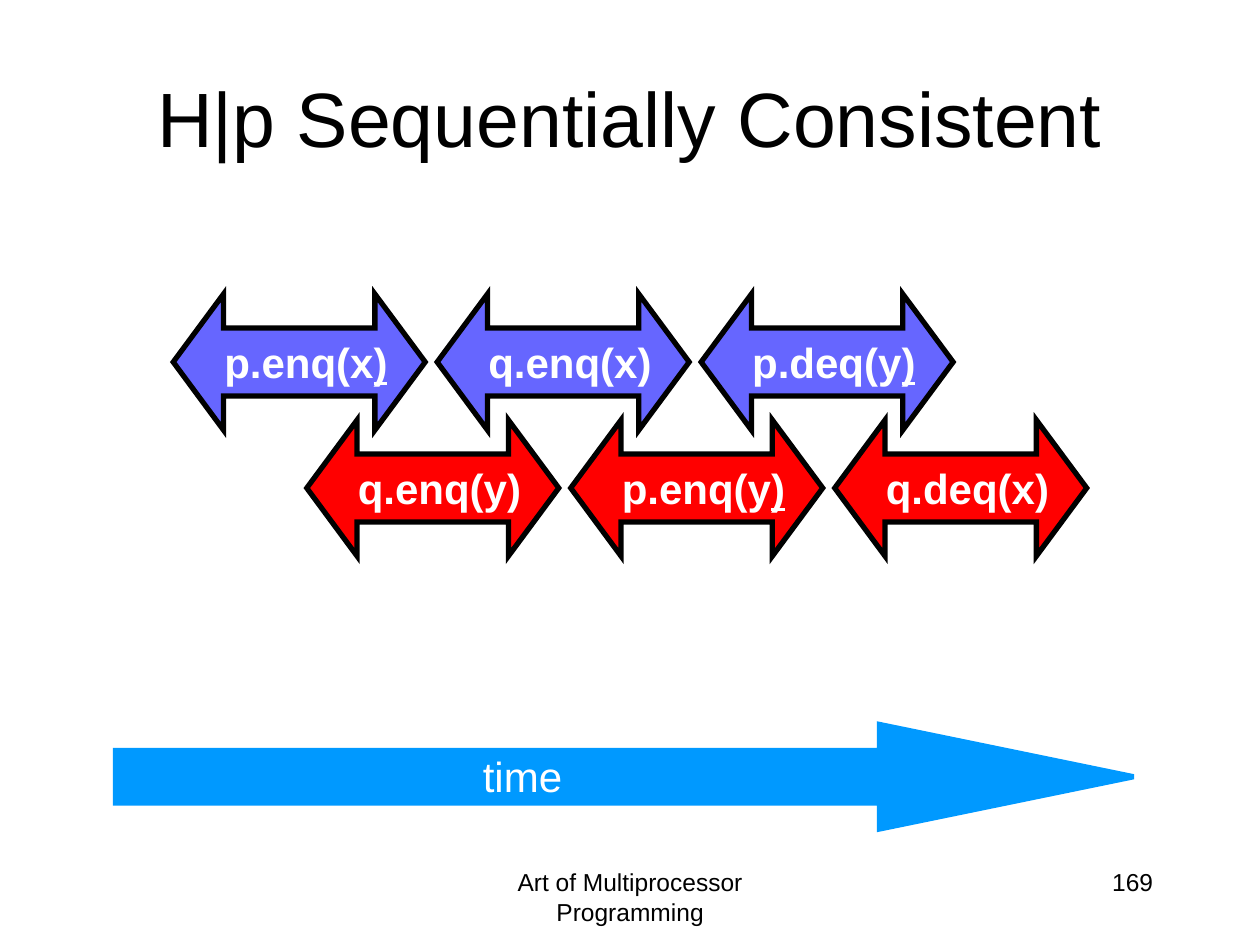
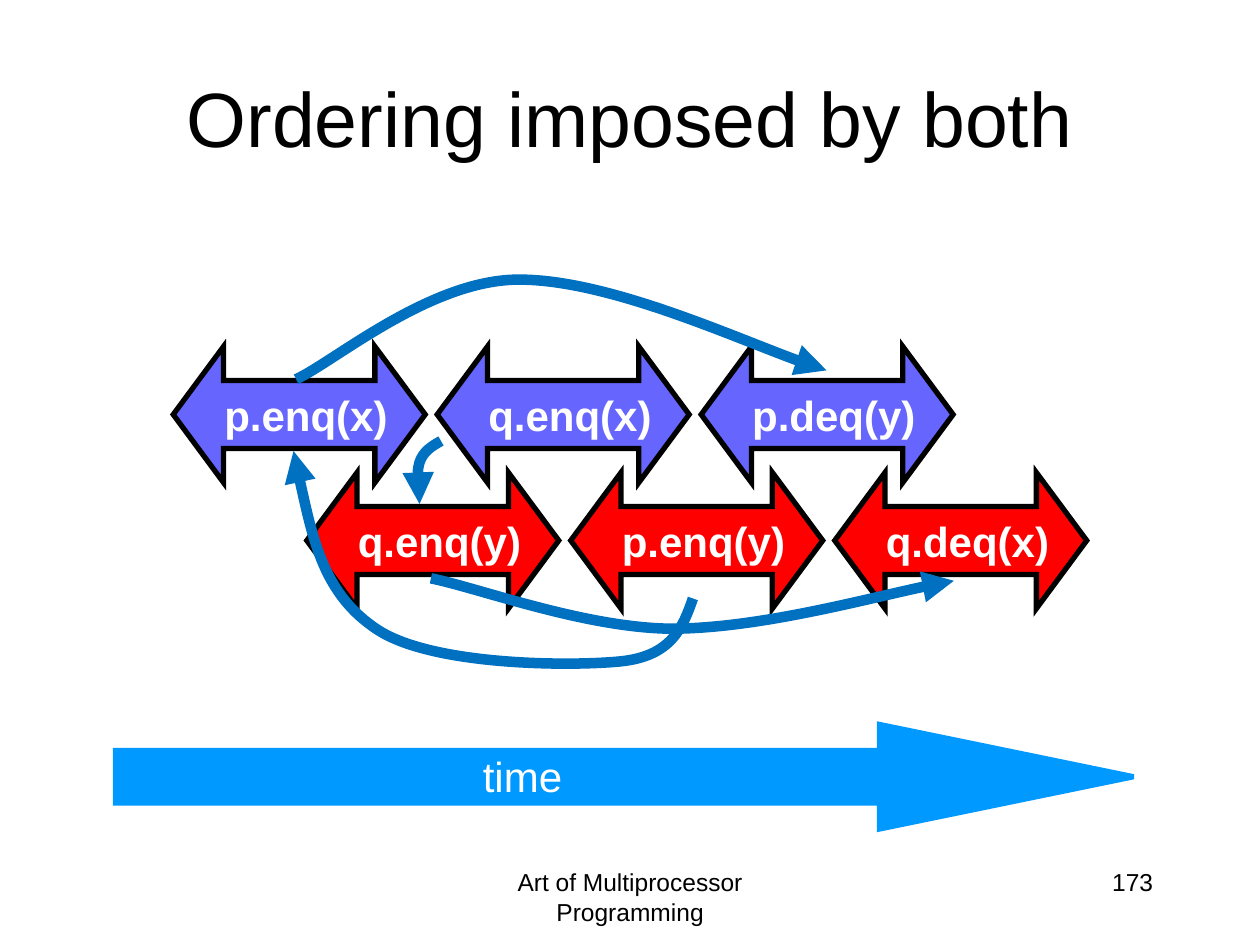
from dataclasses import dataclass

from lxml.etree import SubElement
from pptx import Presentation
from pptx.dml.color import RGBColor
from pptx.enum.shapes import MSO_SHAPE
from pptx.enum.text import MSO_ANCHOR, PP_ALIGN
from pptx.oxml.ns import qn
from pptx.util import Inches, Pt


@dataclass(frozen=True)
class Theme:
    font: str = "Arial"
    text: RGBColor = RGBColor(0, 0, 0)
    light_text: RGBColor = RGBColor(255, 255, 255)
    first_thread: RGBColor = RGBColor(0x66, 0x66, 0xFF)
    second_thread: RGBColor = RGBColor(255, 0, 0)
    time: RGBColor = RGBColor(0, 0x99, 0xFF)
    ordering: RGBColor = RGBColor(0, 0x70, 0xC0)
    title_size: int = 44
    label_size: int = 24
    footer_size: int = 14
    outline_width: int = 3
    ordering_width: int = 6


THEME = Theme()

FIRST_THREAD_LEFT = 11 / 8
THREAD_SHIFT = 1.06
THREAD_DROP = 1
CALL_STEP = 4.19 / 2
CALL_WIDTH, CALL_HEIGHT = 2, 1.08
FOOTER_TOP = 41 / 6

THREADS = (
    (THEME.first_thread, ("p.enq(x)", "q.enq(x)", "p.deq(y)")),
    (THEME.second_thread, ("q.enq(y)", "p.enq(y)", "q.deq(x)")),
)

# Each curve starts at its arrowhead; every further three points add a Bezier piece.
ORDERINGS = (
    ((3.33, 4), (3.32, 3.88), (3.31, 3.75), (3.33, 3.67),
     (3.36, 3.58), (3.43, 3.54), (3.5, 3.5)),
    ((7.57, 4.61), (7.19, 4.67), (6.01, 4.99), (5.32, 4.99),
     (4.63, 4.98), (3.81, 4.67), (3.42, 4.59)),
    ((6.56, 2.94), (6.15, 2.82), (4.8, 2.21), (4.1, 2.22),
     (3.4, 2.23), (2.64, 2.88), (2.35, 3.01)),
    ((2.33, 3.58), (2.45, 4.15), (2.57, 4.72), (3, 5),
     (3.43, 5.28), (4.5, 5.29), (4.92, 5.25),
     (5.33, 5.21), (5.42, 4.98), (5.5, 4.75)),
)


def style_paragraph(paragraph, size, color, alignment, bold=False):
    paragraph.alignment = alignment
    font = paragraph.font
    font.name = THEME.font
    font.size = Pt(size)
    font.bold = bold
    font.color.rgb = color


def add_text(slide, text, left, top, width, height, size, alignment,
             color=THEME.text, anchor=MSO_ANCHOR.TOP, wrap=True):
    box = slide.shapes.add_textbox(*map(Inches, (left, top, width, height)))
    frame = box.text_frame
    frame.word_wrap = wrap
    frame.vertical_anchor = anchor
    paragraph = frame.paragraphs[0]
    paragraph.text = text
    style_paragraph(paragraph, size, color, alignment)


def add_block_arrow(slide, kind, left, top, width, height, head_length, fill, outline):
    arrow = slide.shapes.add_shape(kind, *map(Inches, (left, top, width, height)))
    arrow.adjustments[0] = 0.5
    arrow.adjustments[1] = head_length
    arrow.shadow.inherit = False
    arrow.fill.solid()
    arrow.fill.fore_color.rgb = fill
    arrow.line.color.rgb = outline
    arrow.line.width = Pt(THEME.outline_width)
    SubElement(arrow.line._get_or_add_ln(), qn("a:miter"), lim="800000")
    return arrow


def add_call(slide, label, left, top, color, underline_end):
    """Draw one method call, optionally underlining its closing bracket."""
    call = add_block_arrow(slide, MSO_SHAPE.LEFT_RIGHT_ARROW, left, top,
                           CALL_WIDTH, CALL_HEIGHT, 0.37, color, THEME.text)
    frame = call.text_frame
    frame.word_wrap = False
    frame.vertical_anchor = MSO_ANCHOR.MIDDLE
    paragraph = frame.paragraphs[0]
    style_paragraph(paragraph, THEME.label_size, THEME.light_text, PP_ALIGN.RIGHT, bold=True)
    if underline_end:
        paragraph.add_run().text = label[:-1]
        bracket = paragraph.add_run()
        bracket.text = label[-1]
        bracket.font.underline = True
    else:
        paragraph.add_run().text = label


def add_history(slide, top, underlined_object=None):
    """Draw both threads, underlining the calls on the given object."""
    for row, (color, calls) in enumerate(THREADS):
        for column, label in enumerate(calls):
            add_call(slide, label,
                     FIRST_THREAD_LEFT + row * THREAD_SHIFT + column * CALL_STEP,
                     top + row * THREAD_DROP, color,
                     label.split(".")[0] == underlined_object)


def bend_segments(shape):
    """Turn every three straight segments of a freeform into one Bezier piece."""
    segments = list(shape._element.iter(qn("a:lnTo")))
    for start in range(0, len(segments), 3):
        piece = segments[start:start + 3]
        curve = piece[0].makeelement(qn("a:cubicBezTo"))
        piece[0].addprevious(curve)
        for segment in piece:
            curve.append(segment[0])
            segment.getparent().remove(segment)


def add_ordering(slide, points):
    """Draw a curved arrow whose head is at the first point."""
    start, *rest = [tuple(map(Inches, point)) for point in points]
    builder = slide.shapes.build_freeform(*start)
    builder.add_line_segments(rest, close=False)
    shape = builder.convert_to_shape()
    bend_segments(shape)
    shape.shadow.inherit = False
    shape.fill.background()
    shape.line.color.rgb = THEME.ordering
    shape.line.width = Pt(THEME.ordering_width)
    line = shape.line._get_or_add_ln()
    SubElement(line, qn("a:round"))
    SubElement(line, qn("a:headEnd"), type="triangle")


def add_time_arrow(slide):
    add_block_arrow(slide, MSO_SHAPE.RIGHT_ARROW, 11 / 12, 5.75, 8.08, 0.83, 2.43,
                    THEME.time, THEME.time)
    add_text(slide, "time", 3.72, 5.91, 0.84, 0.5, THEME.label_size, PP_ALIGN.RIGHT,
             color=THEME.light_text, wrap=False)


def add_base_slide(presentation, title, number):
    slide = presentation.slides.add_slide(presentation.slide_layouts[6])
    add_text(slide, "Art of Multiprocessor Programming", 41 / 12, FOOTER_TOP, 3.17, 0.5,
             THEME.footer_size, PP_ALIGN.CENTER)
    add_text(slide, str(number), 7.17, FOOTER_TOP, 2.08, 0.5,
             THEME.footer_size, PP_ALIGN.RIGHT)
    add_text(slide, title, 0.5, 0.3, 9, 1.25, THEME.title_size, PP_ALIGN.CENTER,
             anchor=MSO_ANCHOR.MIDDLE)
    add_time_arrow(slide)
    return slide


def main():
    presentation = Presentation()
    presentation.slide_width = Inches(10)
    presentation.slide_height = Inches(7.5)

    slide = add_base_slide(presentation, "H|p Sequentially Consistent", 169)
    add_history(slide, 7 / 3, underlined_object="p")

    slide = add_base_slide(presentation, "Ordering imposed by both", 173)
    add_history(slide, 2.75)
    for points in ORDERINGS:
        add_ordering(slide, points)

    presentation.save("out.pptx")


if __name__ == "__main__":
    main()
